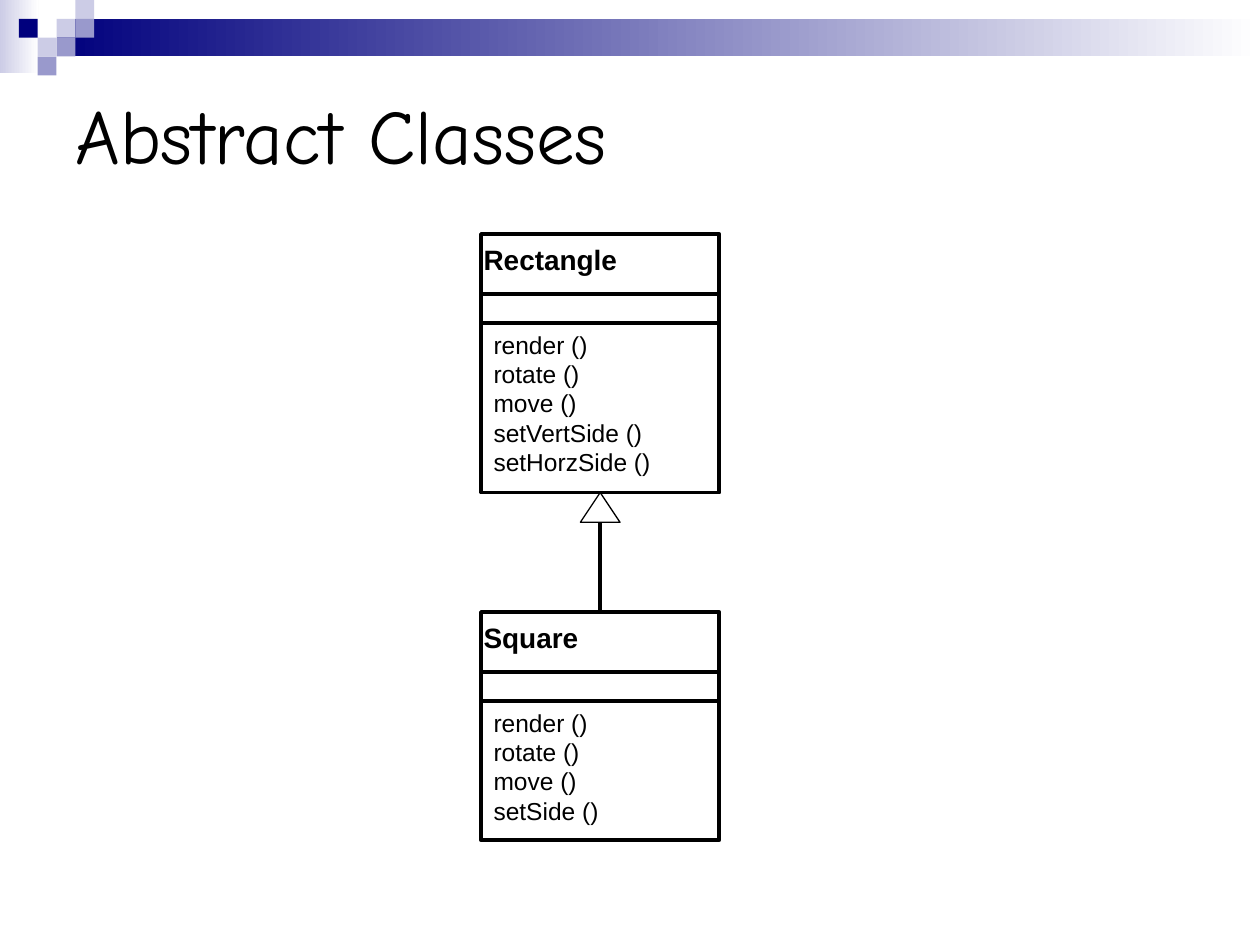
from dataclasses import dataclass

from lxml import etree
from pptx import Presentation
from pptx import util as u
from pptx.dml.color import RGBColor
from pptx.enum import shapes, text
from pptx.oxml.ns import qn

COLORS = {
    "black": "000000",
    "white": "FFFFFF",
    "navy": "00007D",
    "lilac": "CCCCE6",
    "violet": "9999CC",
}
TILE = 0.38  # side of a mosaic tile, cm
CLASS_LEFT, CLASS_WIDTH = 9.7, 4.8
HEADER, ATTRIBUTES = 1.2, 1.8  # divider offsets below the class top


@dataclass
class Tile:
    col: int
    row: int
    color: str


@dataclass
class UmlClass:
    name: str
    top: float
    height: float
    methods: list[str]


TILES = [
    Tile(3, 1, "lilac"),
    Tile(4, 0, "lilac"),
    Tile(4, 1, "violet"),
    Tile(2, 2, "lilac"),
    Tile(1, 1, "navy"),
    Tile(3, 2, "violet"),
    Tile(2, 3, "violet"),
]
SHARED_METHODS = ["render ()", "rotate ()", "move ()"]
PARENT = UmlClass("Rectangle", 4.72, 5.21,
                  SHARED_METHODS + ["setVertSide ()", "setHorzSide ()"])
CHILD = UmlClass("Square", 12.34, 4.6, SHARED_METHODS + ["setSide ()"])


def rgb(name: str) -> RGBColor:
    return RGBColor.from_string(COLORS[name])


def add_shape(s, kind, left: float, top: float, width: float, height: float,
              fill: str | tuple[str, str] | None = None, line: float = 0):
    """Preset shape; a pair of fill colours makes a left-to-right gradient."""
    sp = s.shapes.add_shape(kind, u.Cm(left), u.Cm(top), u.Cm(width), u.Cm(height))
    sp.shadow.inherit = False
    if fill is None:
        sp.fill.background()
    elif isinstance(fill, tuple):
        sp.fill.gradient()
        sp.fill.gradient_angle = 0
        for stop, color in zip(sp.fill.gradient_stops, fill):
            stop.color.rgb = rgb(color)
    else:
        sp.fill.solid()
        sp.fill.fore_color.rgb = rgb(fill)
    if line:
        sp.line.color.rgb = rgb("black")
        sp.line.width = u.Pt(line)
    else:
        sp.line.fill.background()
    return sp


def add_line(s, x1: float, y1: float, x2: float, y2: float) -> None:
    cn = s.shapes.add_connector(shapes.MSO_CONNECTOR.STRAIGHT,
                                u.Cm(x1), u.Cm(y1), u.Cm(x2), u.Cm(y2))
    cn.line.color.rgb = rgb("black")
    cn.line.width = u.Pt(2.25)
    etree.SubElement(cn._element.spPr, qn("a:effectLst"))


def add_text(s, lines: list[str], left: float, top: float, width: float, height: float,
             *, size: float, font: str = "Arial", bold: bool = False,
             anchor=text.MSO_ANCHOR.TOP) -> None:
    tb = s.shapes.add_textbox(u.Cm(left), u.Cm(top), u.Cm(width), u.Cm(height))
    tf = tb.text_frame
    tf.word_wrap = True
    tf.vertical_anchor = anchor
    for i, line in enumerate(lines):
        p = tf.paragraphs[0] if i == 0 else tf.add_paragraph()
        r = p.add_run()
        r.text = line
        r.font.name, r.font.size, r.font.bold = font, u.Pt(size), bold
        r.font.color.rgb = rgb("black")


def add_class(s, c: UmlClass) -> None:
    add_text(s, [c.name], CLASS_LEFT - 0.2, c.top + 0.05, 5.4, 0.94, size=16, bold=True)
    add_shape(s, shapes.MSO_SHAPE.RECTANGLE, CLASS_LEFT, c.top, CLASS_WIDTH, c.height,
              line=2.25)
    for offset in (HEADER, ATTRIBUTES):
        add_line(s, CLASS_LEFT, c.top + offset, CLASS_LEFT + CLASS_WIDTH, c.top + offset)
    add_text(s, c.methods, CLASS_LEFT, c.top + ATTRIBUTES, 5.2,
             c.height - ATTRIBUTES - 0.18, size=14)


def main() -> None:
    prs = Presentation()
    prs.slide_width, prs.slide_height = u.Cm(25.4), u.Cm(19.05)
    s = prs.slides.add_slide(prs.slide_layouts[6])

    # Banner: two gradients and the tile mosaic
    rect = shapes.MSO_SHAPE.RECTANGLE
    add_shape(s, rect, 0, 0, 0.78, 1.48, fill=("lilac", "white"))
    add_shape(s, rect, 3 * TILE, TILE, 25.4 - 3 * TILE, 2 * TILE, fill=("navy", "white"))
    for t in TILES:
        add_shape(s, rect, t.col * TILE, t.row * TILE, TILE, TILE, fill=t.color)

    # Title
    add_text(s, ["Abstract Classes"], 1.27, 1.27, 22.86, 2.85, size=44,
             font="Comic Neue", anchor=text.MSO_ANCHOR.MIDDLE)

    # Inheritance arrow from child to parent
    center = CLASS_LEFT + CLASS_WIDTH / 2
    tip = PARENT.top + PARENT.height
    head_width, head_height = 0.8, 0.6
    add_shape(s, shapes.MSO_SHAPE.ISOSCELES_TRIANGLE, center - head_width / 2, tip,
              head_width, head_height, line=0.75)
    add_line(s, center, tip + head_height, center, CHILD.top)

    # Classes
    for c in (PARENT, CHILD):
        add_class(s, c)

    prs.save("out.pptx")


if __name__ == "__main__":
    main()
